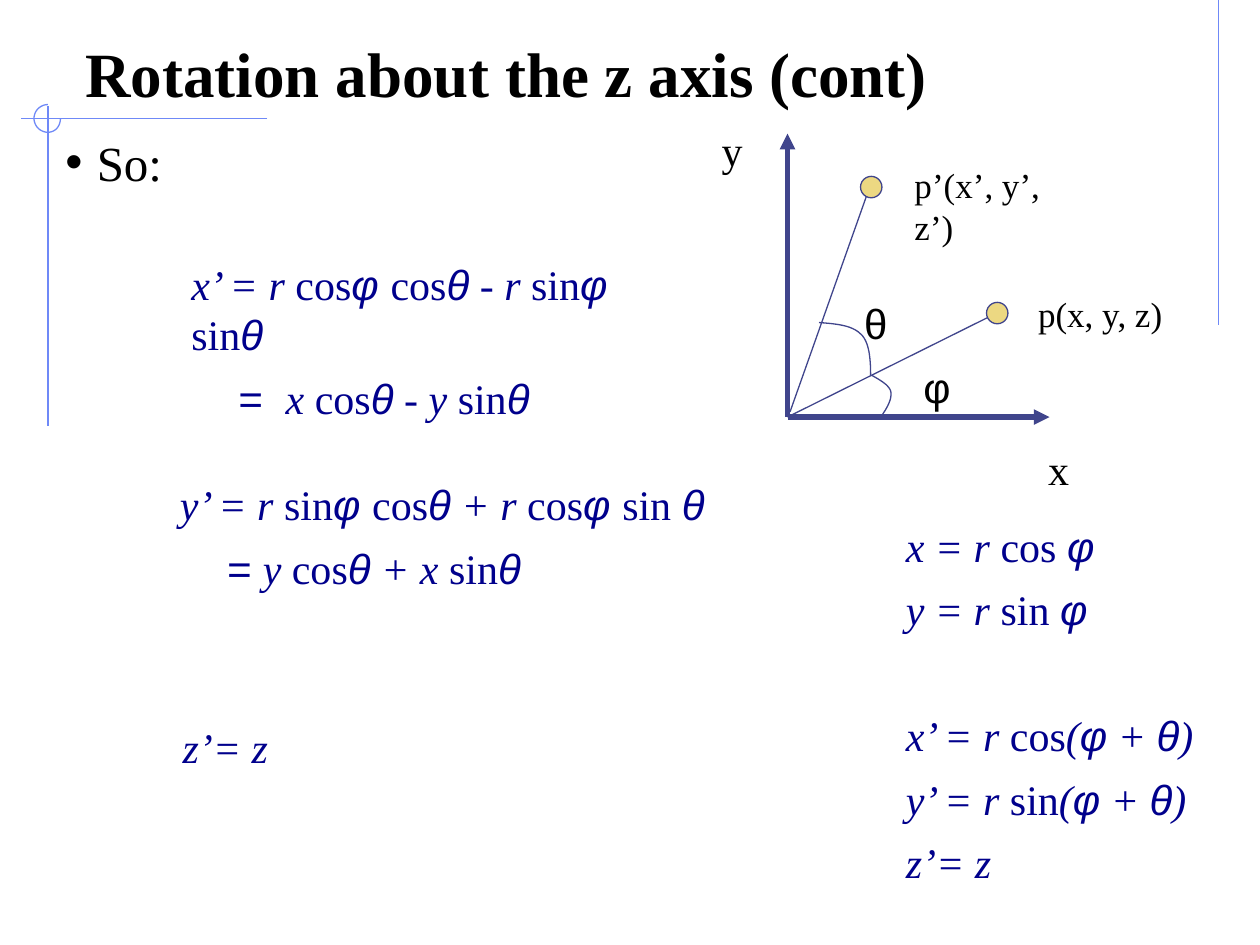
"""Build the slide on rotation about the z axis."""
import lxml.etree
import pptx
import pptx.dml.color
import pptx.enum.shapes
import pptx.enum.text
import pptx.oxml.ns
import pptx.util

theme = {
    "serif": "Times New Roman", "sans": "Arial",
    "ink": "000000", "math": "00008C", "rule": "6F89F7", "axis": "40458C", "dot": "ECD882",
    "head": 36, "body": 28, "text": 24, "note": 20,
    "thin": 0.75, "bold": 3, "gap": 7.5, "skip": 43,
}
COLS, ROWS = 100, 75
CELL = pptx.util.Inches(0.1)
LINE = pptx.enum.shapes.MSO_CONNECTOR.STRAIGHT
OVAL = pptx.enum.shapes.MSO_SHAPE.OVAL
qn = pptx.oxml.ns.qn
rgb = pptx.dml.color.RGBColor.from_string

deck = pptx.Presentation()
deck.slide_width, deck.slide_height = COLS * CELL, ROWS * CELL
slide = deck.slides.add_slide(deck.slide_layouts[6])
shapes = slide.shapes


def ink(shape, tint, width=theme["thin"]):
    shape.line.color.rgb = rgb(theme[tint])
    shape.line.width = pptx.util.Pt(width)
    lxml.etree.SubElement(shape._element.spPr, qn("a:effectLst"))


def write(place, lines, size="text", math=False, wrap=False, bold=False):
    box = shapes.add_textbox(*(round(n * CELL) for n in place))
    frame = box.text_frame
    frame.word_wrap = wrap
    for row, (line, shift, space) in enumerate(lines):
        para = frame.paragraphs[0] if row == 0 else frame.add_paragraph()
        para.space_before = pptx.util.Pt(theme[space] if row else 0)
        if math:
            para._p.get_or_add_pPr().set("marL", str(round((5 + shift) * CELL)))
        for part in line.split("|"):
            run = para.add_run()
            run.text = part
            word = part.strip()
            form = {
                "name": theme["sans" if word in ("φ", "θ", "=") else "serif"],
                "size": pptx.util.Pt(theme[size]),
                "italic": math and word not in ("cos", "sin"),
                "bold": bold,
            }
            for key, value in form.items():
                setattr(run.font, key, value)
            run.font.color.rgb = rgb(theme["math" if math else "ink"])
    return frame


rules = [(96.7, 0, 96.7, 25.8), (21.2, 9.4, 1.7, 9.4), (3.8, 8.4, 3.8, 33.8)]
axes = [(62.5, 33.1, 83.3, 33.1), (62.5, 33.1, 62.5, 10.6)]
rays = [(62.5, 33.1, 79.2, 24.8), (62.7, 32.7, 68.9, 15.2)]
for group, tint, width in ((rules, "rule", "thin"), (axes, "axis", "bold"), (rays, "axis", "thin")):
    for ends in group:
        line = shapes.add_connector(LINE, *(round(n * CELL) for n in ends))
        ink(line, tint, theme[width])
        if group is axes:
            lxml.etree.SubElement(line.line._get_or_add_ln(), qn("a:tailEnd"), type="triangle")

ring = [(3.8, 8.3), (3.2, 8.3), (2.7, 8.8), (2.7, 9.4), (2.7, 10), (3.2, 10.5),
        (3.8, 10.5), (4.4, 10.5), (4.8, 10), (4.8, 9.4)]
phi = [(69.2, 29.8), (69.9, 30.2), (70.6, 30.6), (70.7, 31.1), (70.8, 31.7), (70.4, 32.4), (69.9, 33.1)]
theta = [(65, 25.6), (66.3, 25.7), (67.6, 25.8), (68.3, 26.5), (69, 27.1), (69.1, 28.5), (69.1, 29.8)]
for knots, tint in ((ring, "rule"), (phi, "axis"), (theta, "axis")):
    trace = [knots[0]]
    for i in range(0, len(knots) - 1, 3):
        for step in range(1, 13):
            t = step / 12
            mix = ((1 - t) ** 3, 3 * t * (1 - t) ** 2, 3 * t * t * (1 - t), t ** 3)
            trace.append([sum(m * k[d] for m, k in zip(mix, knots[i:i + 4])) for d in (0, 1)])
    spots = [(round(x * CELL), round(y * CELL)) for x, y in trace]
    pen = shapes.build_freeform(*spots[0])
    pen.add_line_segments(spots[1:], close=False)
    curve = pen.convert_to_shape()
    curve.fill.background()
    ink(curve, tint)

for x, y in ((78.3, 24), (68.3, 14)):
    dot = shapes.add_shape(OVAL, *(round(n * CELL) for n in (x, y, 1.7, 1.7)))
    dot.fill.solid()
    dot.fill.fore_color.rgb = rgb(theme["dot"])
    ink(dot, "axis")

title = write((5.8, 2.5, 88.3, 6.7), [("Rotation about the z axis (cont)", 0, "gap")],
              "head", wrap=True, bold=True)
title.vertical_anchor = pptx.enum.text.MSO_ANCHOR.BOTTOM

body = write((4.2, 10, 91.7, 61.7), [("So:", 0, "gap")], "body", wrap=True)
props = body.paragraphs[0]._p.get_or_add_pPr()
props.set("marL", str(round(2.5 * CELL)))
props.set("indent", str(round(-2.5 * CELL)))
lxml.etree.SubElement(props, qn("a:buFont"), typeface=theme["sans"])
lxml.etree.SubElement(props, qn("a:buChar"), char="•")

write((65.9, 40.8, 30.5, 30.2), [
    ("x = r |cos |φ", 0, "gap"),
    ("y = r |sin |φ", 0, "gap"),
    ("x’ = r |cos|(|φ| + |θ|)", 0, "skip"),
    ("y’ = r |sin|(|φ| + |θ|)", 0, "gap"),
    ("z’= z", 0, "gap"),
], math=True, wrap=True)
first = write((9.2, 20, 46.6, 14.1), [
    ("x’ = r |cos|φ |cos|θ| - r |sin|φ |sin|θ", 0, "gap"),
    ("= |x |cos|θ| - y |sin|θ", 3.7, "gap"),
], math=True)
first.paragraphs[1].runs[0].font._element.set("spc", "333")
write((8.3, 37.5, 51.7, 10.1), [
    ("y’ = r |sin|φ |cos|θ| + r |cos|φ |sin |θ", 0, "gap"),
    ("= |y |cos|θ| + x |sin|θ", 3.7, "gap"),
], math=True, wrap=True)
write((8.5, 56.8, 13.8, 5), [("z’= z", 0, "gap")], math=True)

for label, size, place in (
    ("x", "text", (82.2, 34.7, 3.6, 5)),
    ("y", "text", (56.3, 9.4, 3.6, 5)),
    ("p(x, y, z)", "note", (81.4, 22.7, 12, 4.4)),
    ("p’(x’, y’, z’)", "note", (71.6, 12.5, 15.7, 4.4)),
    ("φ", "text", (72.3, 28.2, 3.7, 5)),
    ("θ", "text", (67.6, 23.1, 3.7, 5)),
):
    write(place, [(label, 0, "gap")], size)

deck.save("out.pptx")
